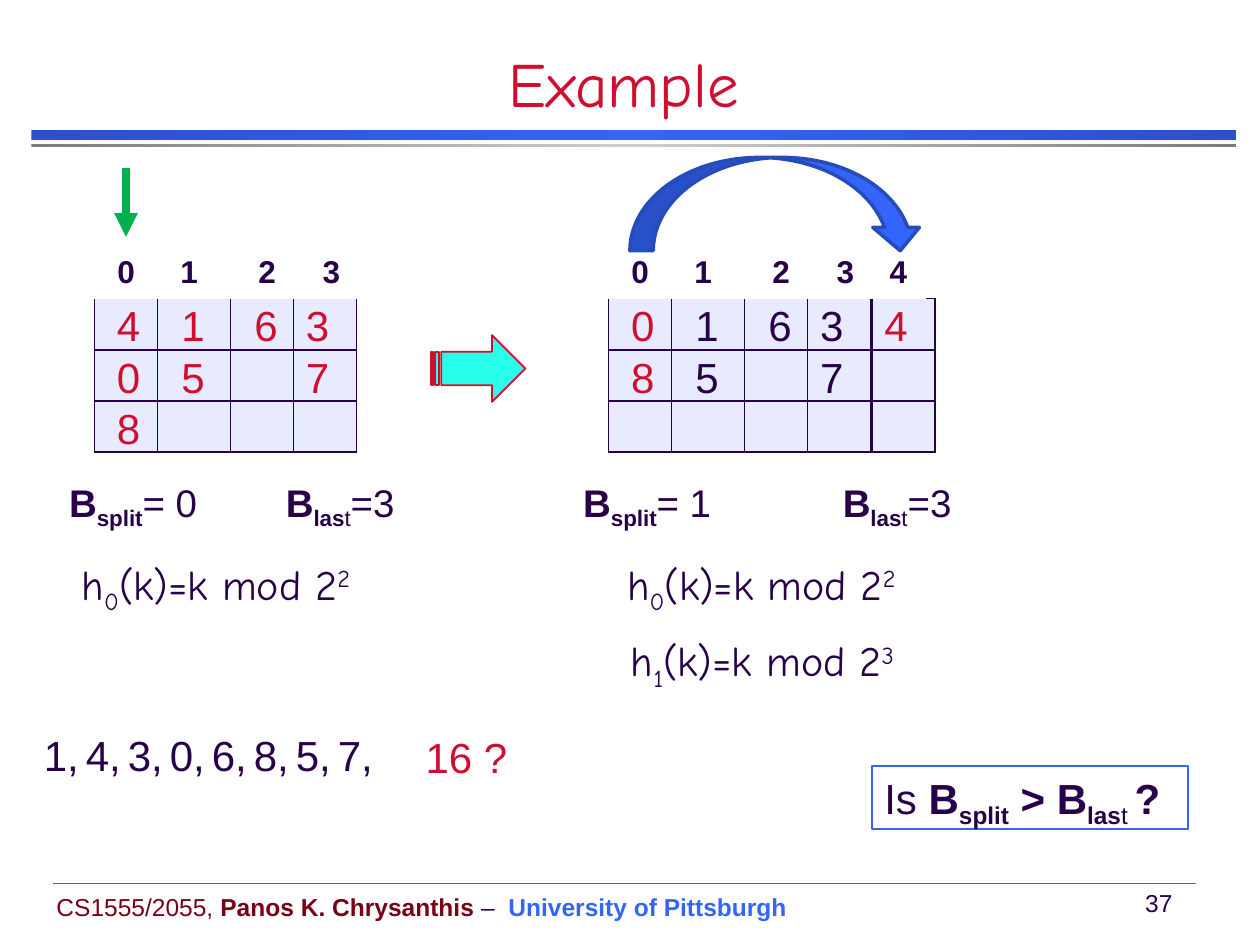
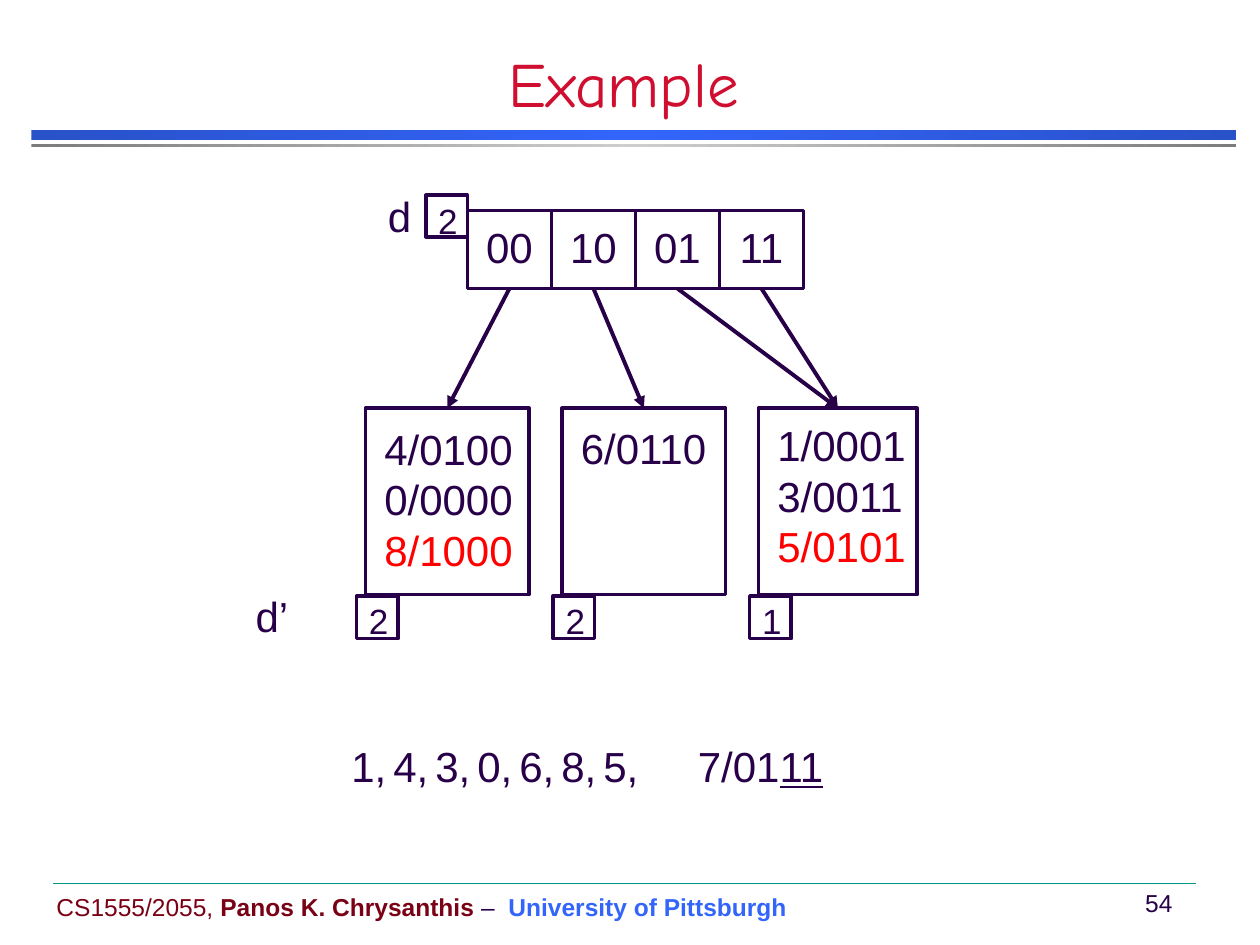
from copy import deepcopy

from pptx import Presentation
from pptx.dml.color import RGBColor
from pptx.enum.shapes import MSO_CONNECTOR, MSO_SHAPE
from pptx.enum.text import MSO_ANCHOR, MSO_AUTO_SIZE, PP_ALIGN
from pptx.oxml.ns import qn
from pptx.util import Inches, Pt
from lxml.etree import SubElement

INK = "280049"
RED = "CF0E30"
BRIGHT_RED = "FF0000"
BLUE = "3365FB"
MAROON = "790015"
WHITE = "FFFFFF"
CELL_FILL = "E8EAFE"
BODY_FONT = "Arial"
TITLE_FONT = "Comic Neue"
BASELINES = {"_": "-25000", "^": "30000"}
KEY_STEP = 1 / 3
ROW_HEIGHT = 1.22 / 3

B_LAST = [("B", "b"), ("las", "b_"), ("t", "_"), ("=3", "")]


def rgb(color):
    """Turn a hex string into a colour."""
    return RGBColor.from_string(color)


def write(para, spans, size=24, color=INK, font=BODY_FONT):
    """Write (text, style, colour) spans; style marks are b, u, _ and ^."""
    if isinstance(spans, str):
        spans = [(spans, "")]
    for words, style, *own_color in spans:
        span = para.add_run()
        span.text = words
        span.font.size = Pt(size)
        span.font.name = font
        span.font.bold = "b" in style
        span.font.underline = "u" in style
        span.font.color.rgb = rgb(own_color[0] if own_color else color)
        for mark in BASELINES.keys() & set(style):
            span._r.get_or_add_rPr().set("baseline", BASELINES[mark])


def add_text(page, box, spans, **look):
    """Place one line of text in a text box."""
    frame = page.shapes.add_textbox(*map(Inches, box)).text_frame
    frame.word_wrap = True
    write(frame.paragraphs[0], spans, **look)


def add_figure(page, kind, box, fill=None, line=None, weight=1):
    """Place a preset shape with plain fill and outline."""
    figure = page.shapes.add_shape(kind, *map(Inches, box))
    figure.shadow.inherit = False
    if fill:
        figure.fill.solid()
        figure.fill.fore_color.rgb = rgb(fill)
    else:
        figure.fill.background()
    if line:
        figure.line.color.rgb = rgb(line)
        figure.line.width = Pt(weight)
    else:
        figure.line.fill.background()
    return figure


def add_label_box(page, box, spans, fill=WHITE, line=INK, weight=2, top_inset=0.05,
                  centred=False, **look):
    """Place a rectangle holding one line of text."""
    label = add_figure(page, MSO_SHAPE.RECTANGLE, box, fill, line, weight)
    frame = label.text_frame
    frame.word_wrap = True
    frame.vertical_anchor = MSO_ANCHOR.MIDDLE if centred else MSO_ANCHOR.TOP
    frame.margin_top = Inches(top_inset)
    frame.margin_bottom = Inches(0.1 if centred else 0)
    para = frame.paragraphs[0]
    para.alignment = PP_ALIGN.CENTER if centred else PP_ALIGN.LEFT
    write(para, spans, **look)
    return label


def add_depth(page, left, top, height, depth):
    """Place a small box holding a depth."""
    add_label_box(page, (left, top, 0.33, height), depth, top_inset=0.03, size=20)


def add_line(page, start, end, color, weight, arrow=False):
    """Draw a straight line, with an arrowhead at its end on request."""
    line = page.shapes.add_connector(MSO_CONNECTOR.STRAIGHT, *map(Inches, start + end))
    line.line.color.rgb = rgb(color)
    line.line.width = Pt(weight)
    if arrow:
        SubElement(line.line._get_or_add_ln(), qn("a:tailEnd"), type="triangle")
    SubElement(line._element.spPr, qn("a:effectLst"))
    return line


def add_band(page, box, edge, middle):
    """Draw a band shaded from its edges to its middle."""
    band = add_figure(page, MSO_SHAPE.RECTANGLE, box)
    band.fill.gradient()
    band.fill.gradient_angle = 0
    first = band._element.spPr.find(".//" + qn("a:gs"))
    first.addnext(deepcopy(first))
    for stop, color, position in zip(band.fill.gradient_stops, (edge, middle, edge), (0, 0.5, 1)):
        stop.color.rgb = rgb(color)
        stop.position = position


def add_page(deck, title, number):
    """Add a slide with its title, bands, footer and number."""
    page = deck.slides.add_slide(deck.slide_layouts[5])
    add_band(page, (0.25, 1.03, 9.56, 0.08), "2951C9", BLUE)
    add_band(page, (0.25, 1.14, 9.56, 0.03), "7C7C7C", "CECECE")
    add_line(page, (0.42, 7.01), (9.49, 7.01), "009688", 0.25)
    footer = [("CS1555/2055, ", "", MAROON), ("Panos K. Chrysanthis", "b", MAROON),
              (" –  ", ""), ("University of Pittsburgh", "b", BLUE)]
    add_text(page, (0.35, 7.03, 6.3, 0.33), footer, size=14)
    add_text(page, (8.99, 7, 0.49, 0.33), str(number), size=14)

    heading = page.shapes.title
    heading.left, heading.top, heading.width, heading.height = map(Inches, (0, 0.42, 9.9, 0.58))
    frame = heading.text_frame
    frame.auto_size = MSO_AUTO_SIZE.NONE
    frame.vertical_anchor = MSO_ANCHOR.BOTTOM
    frame.paragraphs[0].alignment = PP_ALIGN.CENTER
    write(frame.paragraphs[0], title, 36, RED, TITLE_FONT)
    return page


def add_key_sequence(page, left, top, keys):
    """Place the inserted keys at equal steps."""
    for index, key in enumerate(keys):
        add_text(page, (left + index * KEY_STEP, top, 0.58, 0.51), f"{key},")


def add_grid(page, left, top, widths, row_count, row_height):
    """Add an unstyled table with the given column widths."""
    frame = page.shapes.add_table(row_count, len(widths), Inches(left), Inches(top),
                                  Inches(sum(widths)), Inches(row_count * row_height))
    grid = frame.table
    grid.first_row = grid.horz_banding = False
    for column, width in zip(grid.columns, widths):
        column.width = Inches(width)
    for row in grid.rows:
        row.height = Inches(row_height)
    return grid


def add_cell_borders(cell):
    """Outline a table cell on all four sides."""
    properties = cell._tc.get_or_add_tcPr()
    for side in ("lnL", "lnR", "lnT", "lnB"):
        border = SubElement(properties, qn(f"a:{side}"), w=str(Pt(1)))
        fill = SubElement(border, qn("a:solidFill"))
        SubElement(fill, qn("a:srgbClr"), val=INK)


def add_bucket_table(page, left, top, numbers, number_widths, widths, key_offsets, rows, new_keys):
    """Draw numbered buckets, with the keys in new_keys in red."""
    body_top = top + 0.4
    body = add_grid(page, left, body_top, widths, len(rows), ROW_HEIGHT)
    for cell in body.iter_cells():
        add_cell_borders(cell)
        cell.fill.solid()
        cell.fill.fore_color.rgb = rgb(CELL_FILL)
    header = add_grid(page, left, top, number_widths, 1, 0.4)
    for cell, number in zip(header.iter_cells(), numbers):
        cell.fill.background()
        cell.text_frame.paragraphs[0].alignment = PP_ALIGN.CENTER
        write(cell.text_frame.paragraphs[0], [(number, "b")], 18)
    for index, keys in enumerate(rows):
        for offset, key in zip(key_offsets, keys):
            if key.strip():
                box = (left + offset, body_top - 0.04 + index * ROW_HEIGHT, 0.42, 0.51)
                add_text(page, box, key, color=RED if key in new_keys else INK)


def add_hash_state(page, left, rows, new_keys, split, last_left):
    """Draw four buckets with their split and last markers."""
    add_bucket_table(page, left, 1.97, ("0", "1", " 2", "3"), (0.5, 0.5, 0.67, 0.42),
                     (0.5, 0.58, 0.5, 0.5), (0.08, 0.59, 1.17, 1.58), rows, new_keys)
    add_text(page, (left - 0.3, 3.75, 1.29, 0.47), [("B", "b"), ("split", "b_"), (f"= {split}", "")], size=22)
    add_text(page, (last_left, 3.75, 1.12, 0.47), B_LAST, size=22)


def add_hash_function(page, left, top, level, power):
    """Write one hash function."""
    formula = [("h", ""), (level, "_"), ("(k)=k mod 2", ""), (power, "^")]
    add_text(page, (left, top, 2.5, 0.51), formula, font=TITLE_FONT)


def build_linear_hashing(deck):
    """Build the slide on splitting a bucket in linear hashing."""
    page = add_page(deck, "Example", 37)
    add_hash_state(page, 0.75, ("4163", "05 7", "8   "), "41630578", 0, 2.17)
    add_hash_state(page, 4.83, ("0163", "85 7", "    "), "08", 1, 6.59)
    add_bucket_table(page, 6.92, 1.97, "4", (0.42,), (0.5,), (0,), ("4", " ", " "), "4")

    add_line(page, (1, 1.33), (1, 1.88), "00B050", 4.5, arrow=True)
    add_figure(page, MSO_SHAPE.STRIPED_RIGHT_ARROW, (3.42, 2.66, 0.75, 0.53), "27FFEB", RED)
    add_figure(page, MSO_SHAPE.CURVED_DOWN_ARROW, (5, 1.25, 2.33, 0.74), BLUE, "264BBA", 2)

    add_hash_function(page, 0.55, 4.38, "0", "2")
    add_hash_function(page, 4.88, 4.38, "0", "2")
    add_hash_function(page, 4.91, 4.99, "1", "3")

    add_key_sequence(page, 0.25, 5.74, "14306857")
    add_label_box(page, (3.28, 5.76, 0.91, 0.51), "16 ?", line=None, color=RED)
    question = [("Is ", ""), ("B", "b"), ("split", "b_"), (" > B", "b"),
                ("las", "b_"), ("t ", "_"), ("?", "b")]
    add_label_box(page, (6.92, 6.08, 2.51, 0.5), question, None, BLUE, 0.75)


def add_directory(page, left, top, depth, prefixes):
    """Draw the directory with its global depth and return its cells."""
    width, height = 2 / 3, 0.62
    cells = [add_label_box(page, (left + index * width, top, width, height), prefix, centred=True)
             for index, prefix in enumerate(prefixes)]
    add_depth(page, left - 0.33, top - 0.12, 0.33, depth)
    add_text(page, (left - 0.73, top - 0.21, 0.39, 0.5), "d")
    return cells


def add_bucket(page, left, top, width, depth, top_inset, keys, new_key=None):
    """Draw a bucket of keys with its local depth below."""
    height = 1.48
    bucket = add_figure(page, MSO_SHAPE.RECTANGLE, (left, top, width, height), WHITE, INK, 2)
    frame = bucket.text_frame
    frame.word_wrap = True
    frame.vertical_anchor = MSO_ANCHOR.TOP
    frame.margin_left, frame.margin_top, frame.margin_right = map(Inches, (0.15, top_inset, 0))
    for index, key in enumerate(keys):
        para = frame.add_paragraph() if index else frame.paragraphs[0]
        para.alignment = PP_ALIGN.LEFT
        write(para, key, color=BRIGHT_RED if key == new_key else INK)
    add_depth(page, left - 0.07, top + height + 0.01, 0.34, depth)
    return bucket


def build_extendible_hashing(deck):
    """Build the slide on the directory of extendible hashing."""
    page = add_page(deck, "Example", 54)
    cells = add_directory(page, 3.71, 1.67, "2", ("00", "10", "01", "11"))
    contents = (
        (1.3, "2", 0.12, ("4/0100", "0/0000", "8/1000"), "8/1000"),
        (1.3, "2", 0.11, ("6/0110",)),
        (1.26, "1", 0.09, ("1/0001", "3/0011", "5/0101"), "5/0101"),
    )
    buckets = [add_bucket(page, 2.9 + index * 1.56, 3.24, *content)
               for index, content in enumerate(contents)]
    for cell, target in zip(cells, (0, 1, 2, 2)):
        pointer = add_line(page, (0, 0), (0, 0), "270047", 2.25, arrow=True)
        pointer.begin_connect(cell, 2)
        pointer.end_connect(buckets[target], 0)
    add_text(page, (1.93, 4.64, 0.5, 0.51), "d’")
    add_key_sequence(page, 2.69, 5.83, "1430685")
    add_text(page, (5.44, 5.83, 1.4, 0.51), [("7/01", ""), ("11", "u")])


def main():
    """Build and save the deck."""
    deck = Presentation()
    deck.slide_width, deck.slide_height = Inches(10), Inches(7.5)
    build_linear_hashing(deck)
    build_extendible_hashing(deck)
    deck.save("out.pptx")


if __name__ == "__main__":
    main()
